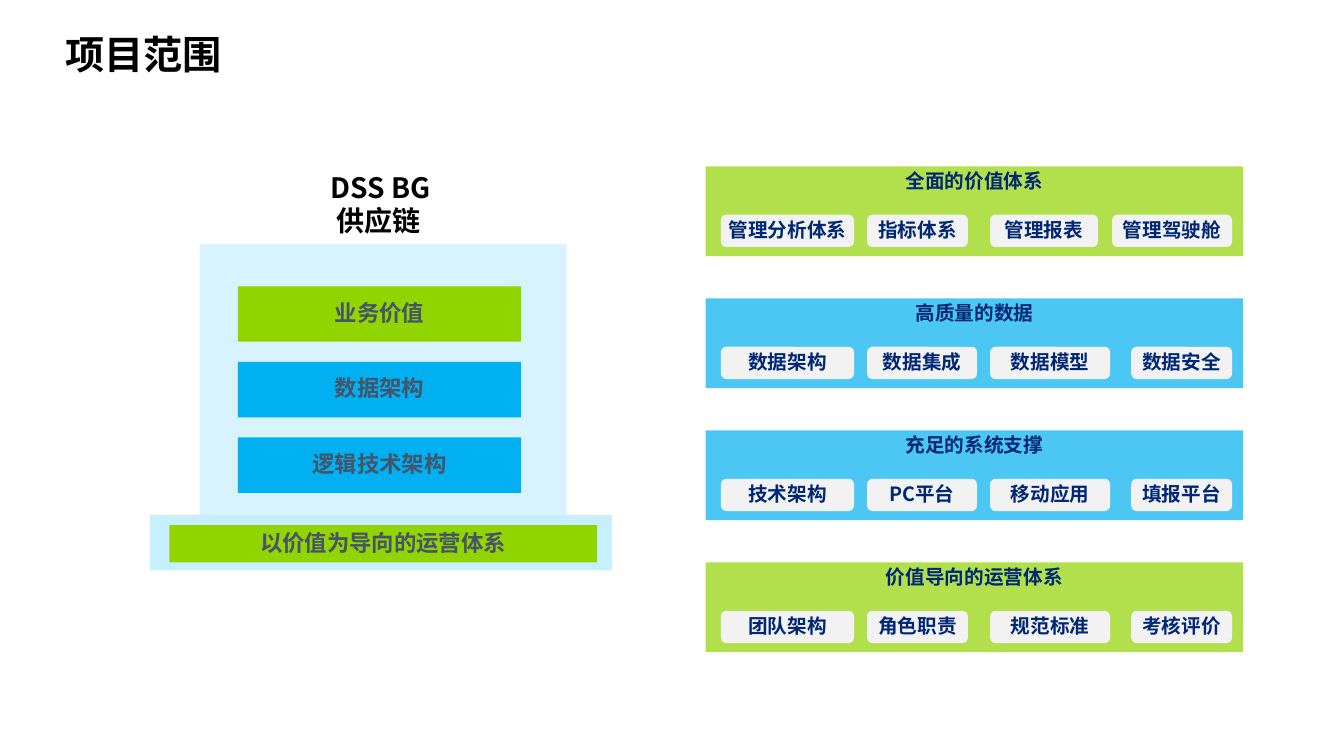
from lxml import etree
from pptx import Presentation
from pptx.dml.color import RGBColor
from pptx.enum.shapes import MSO_SHAPE
from pptx.enum.text import MSO_ANCHOR, MSO_AUTO_SIZE, PP_ALIGN
from pptx.oxml.ns import qn
from pptx.util import Inches, Pt

RECT, ROUNDED = MSO_SHAPE.RECTANGLE, MSO_SHAPE.ROUNDED_RECTANGLE
TOP, MIDDLE = MSO_ANCHOR.TOP, MSO_ANCHOR.MIDDLE
LEFT, CENTER = PP_ALIGN.LEFT, PP_ALIGN.CENTER
FIT_SHAPE = MSO_AUTO_SIZE.SHAPE_TO_FIT_TEXT

GREEN, BLUE, PALE, GREY = "92D400", "00B0F0", "C6EFFF", "F2F2F2"
SLATE, NAVY, BLACK = "44546A", "002776", "000000"


def color(value):
    return RGBColor.from_string(value)


class SlideBuilder:
    font = "Noto Sans CJK SC"

    def __init__(self, page):
        self.page = page
        self.shapes = page.shapes

    def start_group(self):
        """Place the following blocks in a new group."""
        self.shapes = self.page.shapes.add_group_shape().shapes

    def set_text(self, frame, text, size, ink, align, spacing=None):
        frame.text = text
        for para in frame.paragraphs:
            para.alignment = align
            para.line_spacing = spacing
            for span in para.runs:
                span.font.name = self.font
                span.font.size = Pt(size)
                span.font.bold = True
                span.font.color.rgb = color(ink)
                east_asian = etree.SubElement(span.font._element, qn("a:ea"))
                east_asian.set("typeface", self.font)

    def block(self, left, top, width, height, fill, text="", size=16, ink=SLATE,
              kind=RECT, anchor=MIDDLE, wrap=False, opacity=100):
        box = self.shapes.add_shape(kind, Inches(left), Inches(top),
                                    Inches(width), Inches(height))
        box.shadow.inherit = False
        box.line.fill.background()
        box.fill.solid()
        box.fill.fore_color.rgb = color(fill)
        if opacity < 100:
            fill_color = box._element.spPr.find(qn("a:solidFill"))[0]
            alpha = etree.SubElement(fill_color, qn("a:alpha"))
            alpha.set("val", str(opacity * 1000))
        if text:
            frame = box.text_frame
            frame.margin_left = frame.margin_right = 0
            frame.vertical_anchor = anchor
            frame.word_wrap = wrap
            self.set_text(frame, text, size, ink, CENTER, 0.9)

    def label(self, left, top, width, height, text, size):
        box = self.page.shapes.add_textbox(Inches(left), Inches(top),
                                           Inches(width), Inches(height))
        box.text_frame.word_wrap = False
        box.text_frame.auto_size = FIT_SHAPE
        self.set_text(box.text_frame, text, size, BLACK, LEFT)


def draw_framework(builder):
    builder.start_group()
    builder.block(1.98, 2.42, 3.64, 2.75, PALE, opacity=70)
    layers = [("业务价值", GREEN), ("数据架构", BLUE), ("逻辑技术架构", BLUE)]
    for row, (text, fill) in enumerate(layers):
        builder.block(2.36, 2.84 + 0.75 * row, 2.81, 0.55, fill, text)
    # Base of the framework
    builder.block(1.49, 5.11, 4.58, 0.55, PALE)
    builder.block(1.68, 5.21, 4.24, 0.37, GREEN, "以价值为导向的运营体系")


def draw_scope_panels(builder):
    # Heading, fill, then each item with its width
    panels = [
        ("全面的价值体系", GREEN, [("管理分析体系", 1.32), ("指标体系", 1),
                            ("管理报表", 1.07), ("管理驾驶舱", 1.19)]),
        ("高质量的数据", BLUE, [("数据架构", 1.32), ("数据集成", 1.09),
                          ("数据模型", 1.19), ("数据安全", 1)]),
        ("充足的系统支撑", BLUE, [("技术架构", 1.32), ("PC平台", 1.09),
                           ("移动应用", 1.19), ("填报平台", 1)]),
        ("价值导向的运营体系", GREEN, [("团队架构", 1.32), ("角色职责", 1),
                              ("规范标准", 1.19), ("考核评价", 1)]),
    ]
    for row, (heading, fill, items) in enumerate(panels):
        top = 1.65 + 1.31 * row
        builder.start_group()
        builder.block(7, top, 5.33, 0.89, fill, heading, 14, NAVY,
                      anchor=TOP, opacity=70)
        # The last item lines up on its right edge
        lefts = [7.15, 8.6, 9.82, 12.22 - items[-1][1]]
        for left, (text, width) in zip(lefts, items):
            builder.block(left, top + 0.48, width, 0.32, GREY, text, 14, NAVY,
                          kind=ROUNDED, wrap=True)


def main():
    deck = Presentation()
    deck.slide_width, deck.slide_height = Inches(13.33), Inches(7.5)
    builder = SlideBuilder(deck.slides.add_slide(deck.slide_layouts[6]))
    draw_framework(builder)
    draw_scope_panels(builder)
    # Titles
    builder.label(0.55, 0.25, 1.76, 0.57, "项目范围", 28)
    builder.label(3.18, 1.64, 1.24, 0.77, "DSS BG\n 供应链", 20)
    deck.save("out.pptx")


if __name__ == "__main__":
    main()
